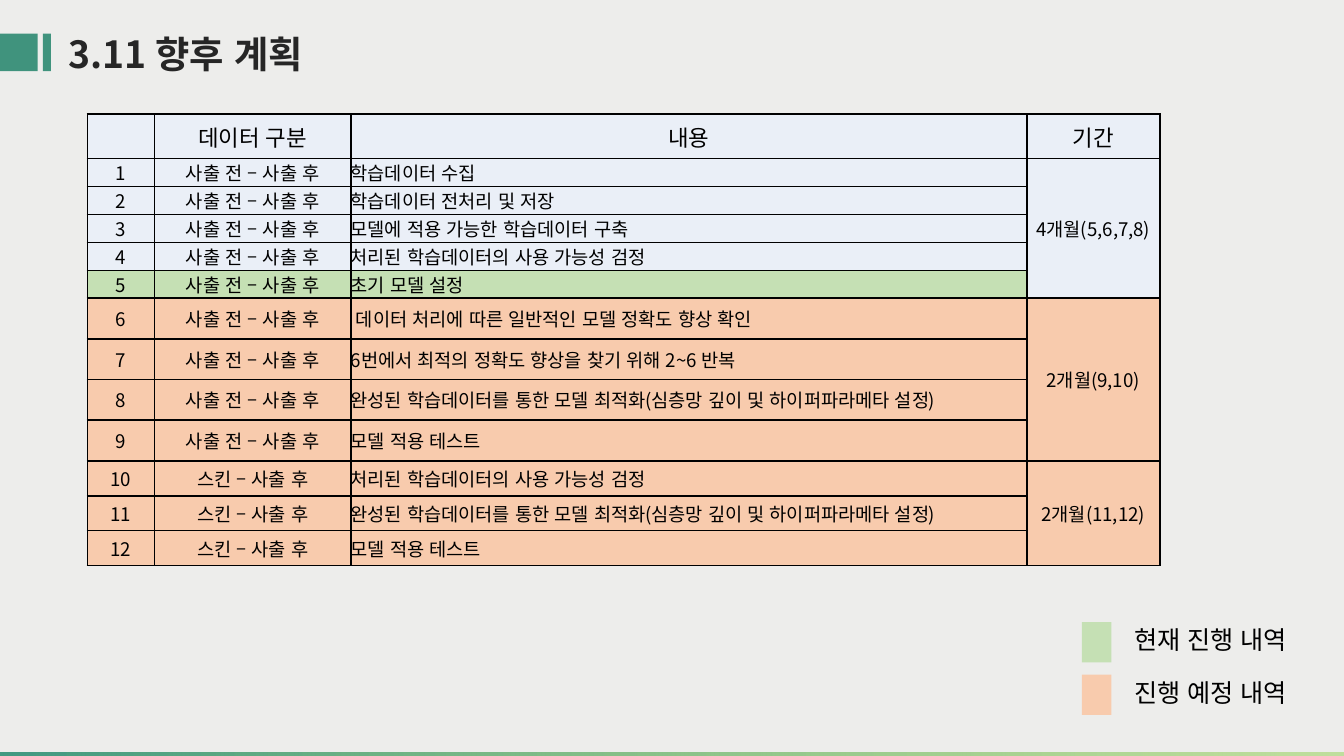
from lxml.etree import SubElement
from pptx import Presentation
from pptx.dml.color import RGBColor
from pptx.enum.lang import MSO_LANGUAGE_ID
from pptx.enum.shapes import MSO_SHAPE
from pptx.enum.text import MSO_ANCHOR, PP_ALIGN
from pptx.oxml import parse_xml
from pptx.oxml.ns import nsdecls, qn
from pptx.util import Inches, Pt

KOREAN = "Noto Sans CJK KR"
GREEN, LIGHT_GREEN, ORANGE, BLUE = "40937D", "C5E0B4", "F8CBAD", "EAEFF7"

prs = Presentation()
prs.slide_width = Inches(10)
prs.slide_height = prs.slide_width * 9 // 16
s = prs.slides.add_slide(prs.slide_layouts[6])
s.background.fill.solid()
s.background.fill.fore_color.rgb = RGBColor.from_string("EDEDEB")


def write(tf, text, size=10, font=KOREAN, color="000000", bold=False, align=PP_ALIGN.LEFT):
    p = tf.paragraphs[0]
    p.alignment = align
    r = p.add_run()
    r.text = text
    r.font.size, r.font.name, r.font.bold = Pt(size), font, bold
    r.font.language_id = MSO_LANGUAGE_ID.KOREAN
    r.font.color.rgb = RGBColor.from_string(color)
    SubElement(r.font._element, qn("a:ea"), typeface=KOREAN)


def add_bar(x, y, w, h, color):
    sp = s.shapes.add_shape(MSO_SHAPE.RECTANGLE, Inches(x), Inches(y), Inches(w), Inches(h))
    sp.shadow.inherit = False
    sp.line.fill.background()
    sp.fill.solid()
    sp.fill.fore_color.rgb = RGBColor.from_string(color)
    return sp


# Footer line fading to the right
footer = add_bar(0, 5.6, 10, 0.02, GREEN)
footer.fill.gradient()
footer.fill.gradient_angle = 0
for stop, color, position in zip(footer.fill.gradient_stops, ("429981", "92D050"), (0, 1)):
    stop.color.rgb = RGBColor.from_string(color)
    stop.position = position
last_color = footer._element.spPr.findall(".//" + qn("a:srgbClr"))[-1]
SubElement(last_color, qn("a:alpha"), val="50000")

# Title
for x, w in ((0, 0.28), (0.32, 0.06)):
    add_bar(x, 0.25, w, 0.28, GREEN)
title = s.shapes.add_textbox(Inches(0.41), Inches(0.18), Inches(3.94), Inches(0.44))
title.text_frame.word_wrap = True
write(title.text_frame, "3.11 향후 계획", size=20, color="262626", bold=True)

# Legend
for i, (label, color) in enumerate((("현재 진행 내역", LIGHT_GREEN), ("진행 예정 내역", ORANGE))):
    y = 4.63 + 0.39 * i
    add_bar(8.05, y, 0.22, 0.3, color)
    sp = s.shapes.add_textbox(Inches(8.34), Inches(y - 0.03), Inches(1.38), Inches(0.33))
    sp.text_frame.word_wrap = True
    write(sp.text_frame, label, size=13.5, font="Calibri")

# Plan table
tasks = [
    "학습데이터 수집",
    "학습데이터 전처리 및 저장",
    "모델에 적용 가능한 학습데이터 구축",
    "처리된 학습데이터의 사용 가능성 검정",
    "초기 모델 설정",
    " 데이터 처리에 따른 일반적인 모델 정확도 향상 확인",
    "6번에서 최적의 정확도 향상을 찾기 위해 2~6 반복",
    "완성된 학습데이터를 통한 모델 최적화(심층망 깊이 및 하이퍼파라메타 설정)",
    "모델 적용 테스트",
    "처리된 학습데이터의 사용 가능성 검정",
    "완성된 학습데이터를 통한 모델 최적화(심층망 깊이 및 하이퍼파라메타 설정)",
    "모델 적용 테스트",
]
# First row: number of rows, height of the group, label
periods = {1: (5, 1.04, "4개월(5,6,7,8)"), 6: (4, 1.21, "2개월(9,10)"),
           10: (3, 0.78, "2개월(11,12)")}
rows = [("", "데이터 구분", "내용", "기간")]
for n, task in enumerate(tasks, 1):
    stage = "사출 전 – 사출 후" if n < 10 else "스킨 – 사출 후"
    rows.append((str(n), stage, task, periods[n][2] if n in periods else ""))

widths = [0.5, 1.46, 5.03, 0.99]
heights = [0.33]
for count, height, _ in periods.values():
    heights += [height / count] * count
table = s.shapes.add_table(len(rows), len(widths), Inches(0.65), Inches(0.85),
                           Inches(sum(widths)), Inches(sum(heights))).table
for column, w in zip(table.columns, widths):
    column.width = Inches(w)
for row, h in zip(table.rows, heights):
    row.height = Inches(h)

for i, texts in enumerate(rows):
    for j, text in enumerate(texts):
        cell = table.cell(i, j)
        cell.margin_left = cell.margin_right = cell.margin_top = cell.margin_bottom = 0
        cell.vertical_anchor = MSO_ANCHOR.MIDDLE
        cell.fill.solid()
        fill = BLUE if i < 5 or (i == 5 and j == 3) else LIGHT_GREEN if i == 5 else ORANGE
        cell.fill.fore_color.rgb = RGBColor.from_string(fill)
        for k, side in enumerate(("lnL", "lnR", "lnT", "lnB")):
            cell._tc.get_or_add_tcPr().insert(k, parse_xml(
                f'<a:{side} {nsdecls("a")} w="12700"><a:solidFill>'
                f'<a:srgbClr val="000000"/></a:solidFill></a:{side}>'))
        write(cell.text_frame, text, size=12 if i == 0 else 10,
              align=PP_ALIGN.LEFT if i and j == 2 else PP_ALIGN.CENTER)

for first, (count, _, _) in periods.items():
    table.cell(first, 3).merge(table.cell(first + count - 1, 3))

prs.save("out.pptx")
